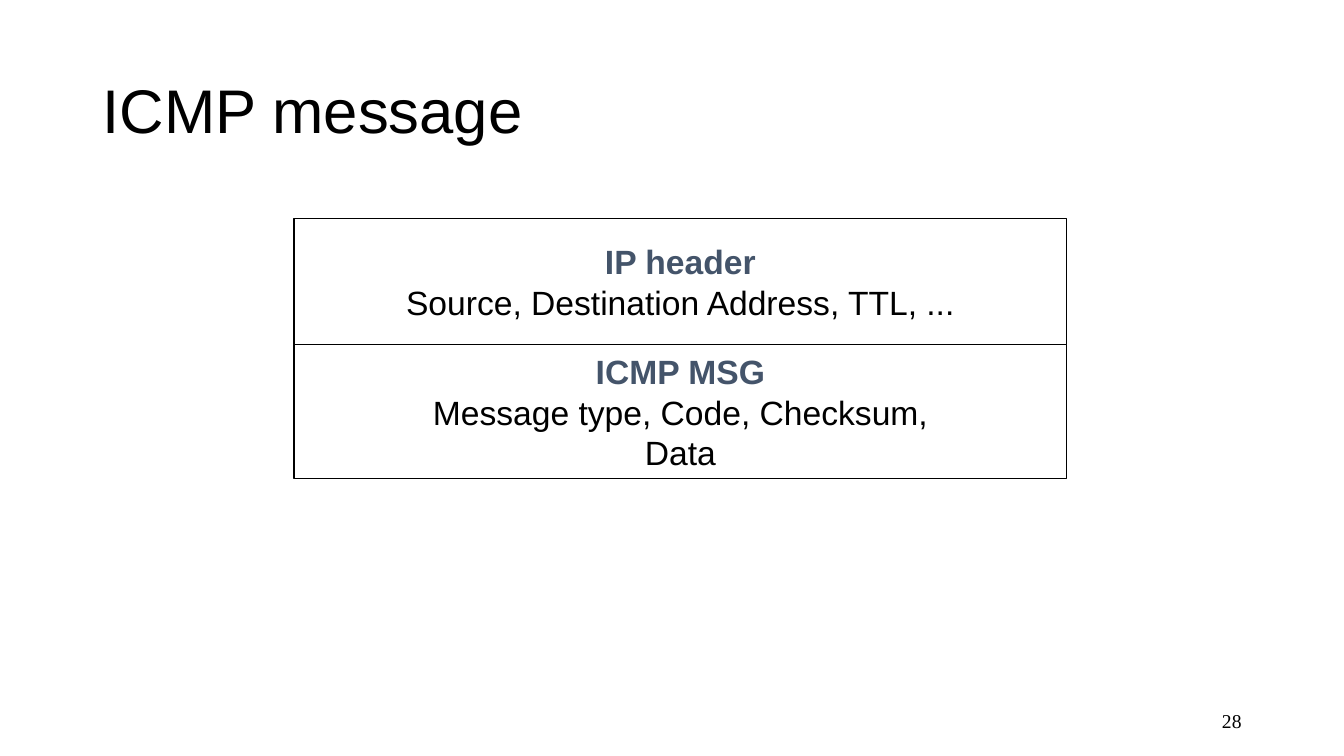
from dataclasses import dataclass

from pptx import Presentation, util as u
from pptx.dml.color import RGBColor
from pptx.enum import shapes, text


@dataclass(frozen=True)
class Theme:
    ink: str = "000000"
    paper: str = "FFFFFF"
    heading: str = "44546A"
    sans: str = "Arial"
    serif: str = "Times New Roman"
    title_size: int = 44
    body_size: int = 24
    number_size: int = 14
    outline: int = 1


def write(frame, lines, *, font, size, color, heading_color=None,
          align=text.PP_ALIGN.LEFT, wrap=True, spacing=None):
    frame.word_wrap = wrap
    frame.auto_size = text.MSO_AUTO_SIZE.NONE
    frame.vertical_anchor = text.MSO_ANCHOR.MIDDLE
    for index, line in enumerate(lines):
        paragraph = frame.paragraphs[0] if index == 0 else frame.add_paragraph()
        is_heading = heading_color is not None and index == 0
        paragraph.alignment = align
        if spacing:
            paragraph.line_spacing = spacing
        run = paragraph.add_run()
        run.text = line
        run.font.name = font
        run.font.size = u.Pt(size)
        run.font.bold = is_heading
        run.font.color.rgb = RGBColor.from_string(
            heading_color if is_heading else color)


class SlideBuilder:
    COLUMNS, ROWS = 160, 90

    def __init__(self, deck, theme):
        self.deck = deck
        self.theme = theme
        self.slide = deck.slides.add_slide(deck.slide_layouts[5])
        background = self.slide.background.fill
        background.solid()
        background.fore_color.rgb = RGBColor.from_string(theme.paper)

    def place(self, column, row, columns, rows):
        cell_width = self.deck.slide_width / self.COLUMNS
        cell_height = self.deck.slide_height / self.ROWS
        return (round(column * cell_width), round(row * cell_height),
                round(columns * cell_width), round(rows * cell_height))

    def title(self, wording, *area):
        heading = self.slide.shapes.title
        heading.left, heading.top, heading.width, heading.height = self.place(*area)
        write(heading.text_frame, [wording], font=self.theme.sans,
              size=self.theme.title_size, color=self.theme.ink, spacing=0.9)

    def page_number(self, number, *area):
        label = self.slide.shapes.add_textbox(*self.place(*area))
        write(label.text_frame, [number], font=self.theme.serif,
              size=self.theme.number_size, color=self.theme.ink,
              align=text.PP_ALIGN.RIGHT)

    def packet_part(self, lines, *area):
        part = self.slide.shapes.add_shape(
            shapes.MSO_SHAPE.RECTANGLE, *self.place(*area))
        part.shadow.inherit = False
        part.fill.solid()
        part.fill.fore_color.rgb = RGBColor.from_string(self.theme.paper)
        part.line.color.rgb = RGBColor.from_string(self.theme.ink)
        part.line.width = u.Pt(self.theme.outline)
        write(part.text_frame, lines, font=self.theme.sans,
              size=self.theme.body_size, color=self.theme.ink,
              heading_color=self.theme.heading,
              align=text.PP_ALIGN.CENTER, wrap=False)


def main():
    deck = Presentation()
    deck.slide_width, deck.slide_height = u.Inches(13.33), u.Inches(7.5)
    page = SlideBuilder(deck, Theme())

    page.page_number("28", 113, 83.4, 36, 4.8)
    page.title("ICMP message", 11, 4.8, 138, 17.4)

    packet = [
        (15, ["IP header", "Source, Destination Address, TTL, ..."]),
        (16, ["ICMP MSG", "Message type, Code, Checksum,", "Data"]),
    ]
    row = 26
    for rows, lines in packet:
        page.packet_part(lines, 35, row, 92, rows)
        row += rows

    deck.save("out.pptx")


if __name__ == "__main__":
    main()
